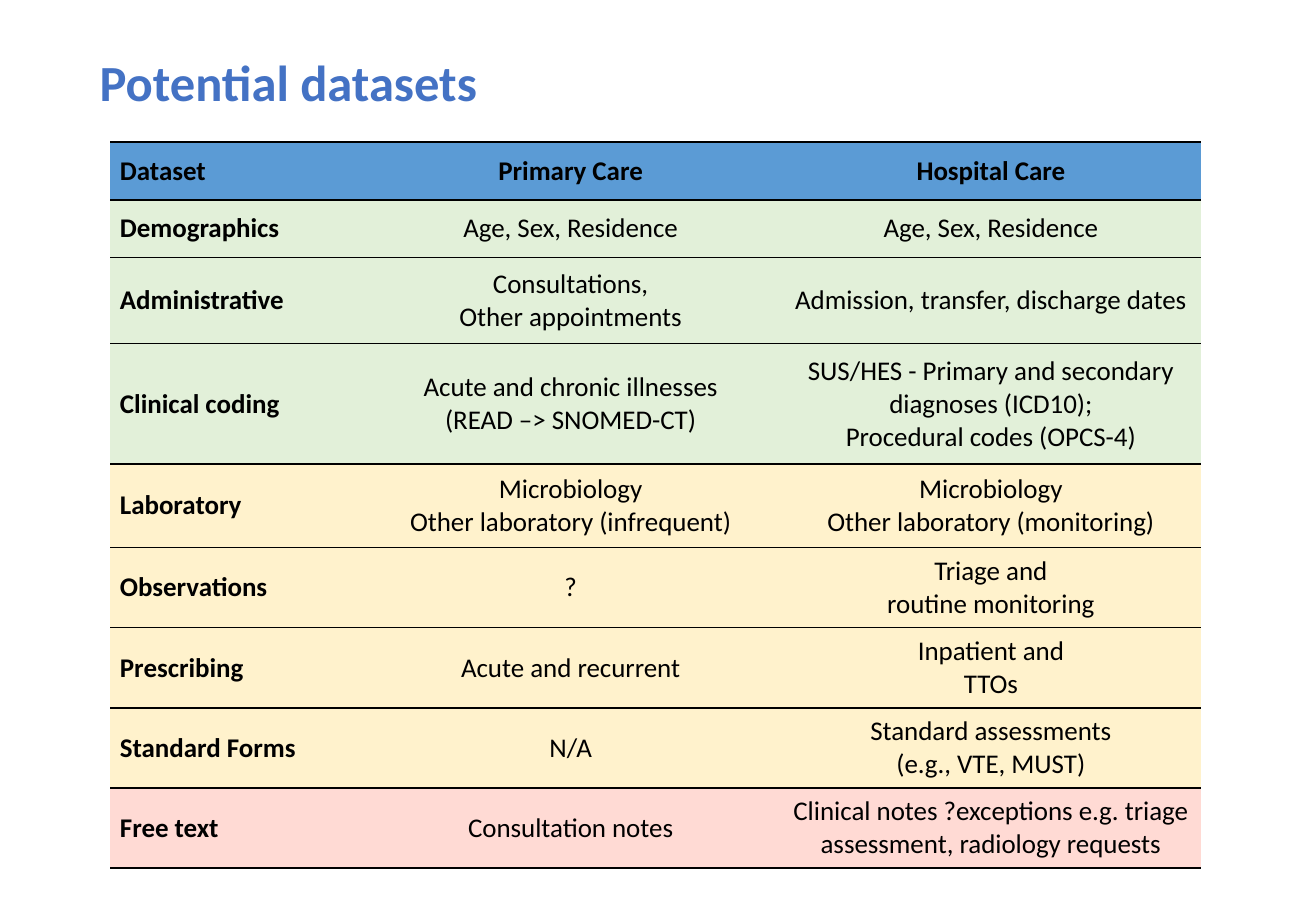
from lxml import etree
from pptx import Presentation
from pptx.dml.color import RGBColor
from pptx.enum.text import MSO_ANCHOR as Anchor, PP_ALIGN as Align
from pptx.oxml.ns import qn
from pptx.util import Pt

HEADER, GREEN, YELLOW, PINK = "5B9BD5", "E2F0D9", "FFF2CC", "FFDAD4"
COL_WIDTHS = [148.4, 249.1, 249.1]

# Row height, fill, and the text of each cell; a line break starts a paragraph
ROWS = [
    (34.5, HEADER, "Dataset", "Primary Care", "Hospital Care"),
    (33.9, GREEN, "Demographics", "Age, Sex, Residence", "Age, Sex, Residence"),
    (51.3, GREEN, "Administrative", "Consultations,\nOther appointments",
     "Admission, transfer, discharge dates"),
    (71.2, GREEN, "Clinical coding",
     "Acute and chronic illnesses\n(READ –> SNOMED-CT)",
     "SUS/HES - Primary and secondary diagnoses (ICD10);\n"
     "Procedural codes (OPCS-4)"),
    (49.7, YELLOW, "Laboratory", "Microbiology\nOther laboratory (infrequent)",
     "Microbiology\nOther laboratory (monitoring)"),
    (47.5, YELLOW, "Observations", "?", "Triage and\nroutine monitoring"),
    (47.5, YELLOW, "Prescribing", "Acute and recurrent", "Inpatient and\nTTOs"),
    (47.5, YELLOW, "Standard Forms", "N/A",
     "Standard assessments\n(e.g., VTE, MUST)"),
    (47.5, PINK, "Free text", "Consultation notes",
     "Clinical notes ?exceptions e.g. triage assessment, radiology requests"),
]


def rgb(value):
    return RGBColor.from_string(value)


def write(tf, text, size=16, color="000000", bold=False, align=Align.LEFT,
          spacing=None):
    tf.word_wrap = True
    for i, line in enumerate(text.split("\n")):
        p = tf.paragraphs[0] if i == 0 else tf.add_paragraph()
        p.alignment = align
        p.line_spacing = spacing
        r = p.add_run()
        r.text = line
        r.font.name, r.font.size, r.font.bold = "Calibri", Pt(size), bold
        r.font.color.rgb = rgb(color)


def rule_cell(cell, color="000000", width=1):
    """Draw the top and bottom borders only."""
    tc_pr = cell._tc.get_or_add_tcPr()
    for i, side in enumerate(("lnL", "lnR", "lnT", "lnB")):
        ln = etree.Element(qn(f"a:{side}"), w=str(Pt(width)))
        if side in ("lnT", "lnB"):
            fill = etree.SubElement(ln, qn("a:solidFill"))
            etree.SubElement(fill, qn("a:srgbClr"), val=color)
        else:
            etree.SubElement(ln, qn("a:noFill"))
        tc_pr.insert(i, ln)


def add_title(s, text, left, top, width, height):
    tf = s.shapes.add_textbox(Pt(left), Pt(top), Pt(width), Pt(height)).text_frame
    tf.vertical_anchor = Anchor.MIDDLE
    write(tf, text, size=30, color="4472C4", bold=True, spacing=0.9)


def add_datasets(s, left, top):
    height = sum(row[0] for row in ROWS)
    table = s.shapes.add_table(len(ROWS), len(COL_WIDTHS), Pt(left), Pt(top),
                               Pt(sum(COL_WIDTHS)), Pt(height)).table
    table.horz_banding = False
    for column, width in zip(table.columns, COL_WIDTHS):
        column.width = Pt(width)
    for i, (row_height, fill, *texts) in enumerate(ROWS):
        table.rows[i].height = Pt(row_height)
        for j, text in enumerate(texts):
            cell = table.cell(i, j)
            cell.fill.solid()
            cell.fill.fore_color.rgb = rgb(fill)
            cell.vertical_anchor = Anchor.MIDDLE
            cell.margin_left = cell.margin_right = Pt(5.8)
            cell.margin_top = cell.margin_bottom = Pt(2.9)
            write(cell.text_frame, text, bold=i == 0 or j == 0,
                  align=Align.CENTER if j else Align.LEFT)
            rule_cell(cell)


def main():
    prs = Presentation()
    prs.slide_width, prs.slide_height = Pt(780), Pt(540)
    s = prs.slides.add_slide(prs.slide_layouts[6])
    add_datasets(s, 65.3, 84.1)
    add_title(s, "Potential datasets", 52, 9, 672.5, 83)
    prs.save("out.pptx")


if __name__ == "__main__":
    main()
